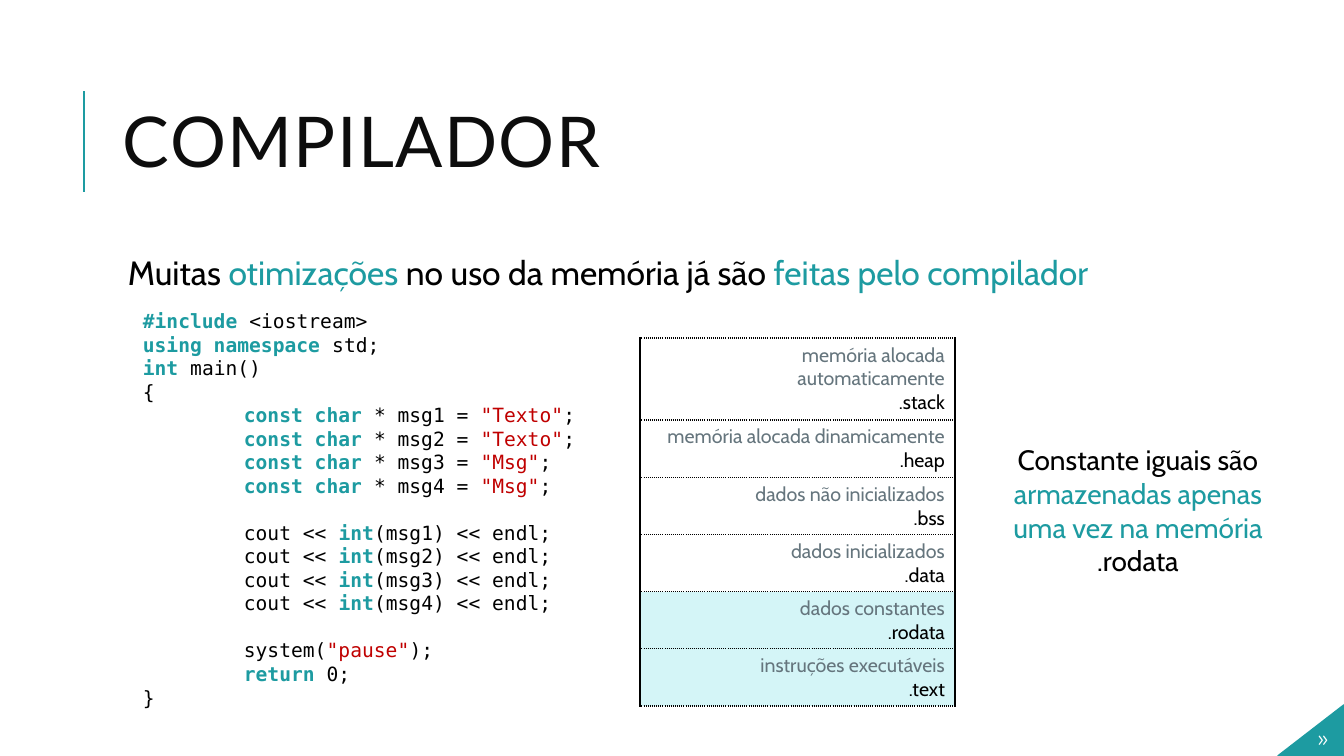
"""Builds the slide on how the compiler stores equal constants once."""
from lxml import etree
from pptx import Presentation
from pptx.dml.color import RGBColor
from pptx.enum.text import MSO_ANCHOR, PP_ALIGN
from pptx.oxml.ns import qn
from pptx.util import Pt

THEME = {
    "colour": {"ink": "000000", "title": "0D0D0D", "accent": "1D9BA1", "keyword": "1D9BA1",
               "string": "C00000", "muted": "65757D", "highlight": "D4F5F7", "white": "FFFFFF"},
    "font": {"title": "Lato", "body": "Cabin", "code": "DejaVu Sans Mono", "corner": "Quicksand"},
    "size": {"title": 50, "lead": 24, "side": 20, "corner": 16, "small": 14},
    "code_gap": 16.8,
}
PX = 914400 / 100.8

TITLE = [("COMPILADOR", "title")]
LEAD = [("Muitas ", "ink"), ("otimizações", "accent"), (" no uso da memória já são ", "ink"),
        ("feitas pelo compilador", "accent")]
SIDE = [("Constante iguais são ", "ink"), ("armazenadas apenas uma vez na memória ", "accent"),
        (".rodata", "ink")]
CORNER = [("»", "white")]

HEADER = [
    [("#include ", "keyword"), ("<iostream>", "ink")],
    [("using namespace ", "keyword"), ("std;", "ink")],
    [("int ", "keyword"), ("main()", "ink")],
    [("{", "ink")],
]
MESSAGES = ["Texto", "Texto", "Msg", "Msg"]
DECLARATIONS = [[("const char ", "keyword"), (f"* msg{n} = ", "ink"), (f'"{text}"', "string"),
                 (";", "ink")] for n, text in enumerate(MESSAGES, 1)]
OUTPUTS = [[("cout << ", "ink"), ("int", "keyword"), (f"(msg{n}) << endl;", "ink")]
           for n in range(1, len(MESSAGES) + 1)]
ENDING = [
    [("system(", "ink"), ('"pause"', "string"), (");", "ink")],
    [("return", "keyword"), (" 0;", "ink")],
]
BODY_BLOCKS = [DECLARATIONS, OUTPUTS, ENDING]

SECTIONS = [
    ("memória alocada automaticamente", ".stack", 82, None),
    ("memória alocada dinamicamente", ".heap", 57, None),
    ("dados não inicializados", ".bss", 57, None),
    ("dados inicializados", ".data", 57, None),
    ("dados constantes", ".rodata", 57, "highlight"),
    ("instruções executáveis", ".text", 57, "highlight"),
]


def px(value):
    return round(value * PX)


def colour(role):
    return RGBColor.from_string(THEME["colour"][role])


def write(paragraph, runs, font, size):
    for text, role in runs:
        run = paragraph.add_run()
        run.text = text
        run.font.name = THEME["font"][font]
        run.font.size = Pt(THEME["size"][size])
        run.font.bold = role == "keyword"
        run.font.color.rgb = colour(role)


def add_text(slide, box, runs, font, size, align=PP_ALIGN.LEFT):
    frame = slide.shapes.add_textbox(*map(px, box)).text_frame
    frame.word_wrap = True
    paragraph = frame.paragraphs[0]
    paragraph.alignment = align
    write(paragraph, runs, font, size)
    return frame


def add_code(slide, box):
    frame = add_text(slide, box, HEADER[0], "code", "small")
    lines = [(line, 0, 0) for line in HEADER[1:]]
    for number, block in enumerate(BODY_BLOCKS):
        for row, line in enumerate(block):
            gap = THEME["code_gap"] if number and not row else 0
            lines.append((line, 101, gap))
    lines.append(([("}", "ink")], 0, 0))
    for line, indent, gap in lines:
        paragraph = frame.add_paragraph()
        paragraph.space_before = Pt(gap)
        paragraph._p.get_or_add_pPr().set("marL", str(px(indent)))
        write(paragraph, line, "code", "small")


def set_border(properties, side, dash):
    line = etree.SubElement(properties, qn(f"a:{side}"), w=str(Pt(1)))
    fill = etree.SubElement(line, qn("a:solidFill"))
    etree.SubElement(fill, qn("a:srgbClr"), val=THEME["colour"]["ink"])
    etree.SubElement(line, qn("a:prstDash"), val=dash)


def add_memory_table(slide, left, top, width):
    height = sum(section[2] for section in SECTIONS)
    table = slide.shapes.add_table(len(SECTIONS), 1, *map(px, (left, top, width, height))).table
    table.first_row = table.horz_banding = False
    for row, (label, name, row_height, fill) in enumerate(SECTIONS):
        table.rows[row].height = px(row_height)
        cell = table.cell(row, 0)
        properties = cell._tc.get_or_add_tcPr()
        for side, dash in (("lnL", "solid"), ("lnR", "solid"), ("lnT", "sysDot"), ("lnB", "sysDot")):
            set_border(properties, side, dash)
        if fill:
            cell.fill.solid()
            cell.fill.fore_color.rgb = colour(fill)
        else:
            cell.fill.background()
        frame = cell.text_frame
        for paragraph, run in ((frame.paragraphs[0], (label, "muted")),
                               (frame.add_paragraph(), (name, "ink"))):
            paragraph.alignment = PP_ALIGN.RIGHT
            write(paragraph, [run], "body", "small")


def add_title(slide):
    bar = slide.shapes.add_connector(1, *map(px, (84, 192, 84, 91)))
    bar.line.color.rgb = colour("accent")
    bar.line.width = Pt(1.5)
    etree.SubElement(bar._element.spPr, qn("a:effectLst"))
    frame = add_text(slide, (113, 65, 1072, 165), TITLE, "title", "title")
    frame.vertical_anchor = MSO_ANCHOR.MIDDLE
    frame.paragraphs[0].line_spacing = 0.8
    frame.paragraphs[0].runs[0].font._element.set("spc", "100")


def add_lead(slide):
    frame = add_text(slide, (123, 252, 1062, 48), LEAD, "body", "lead")
    frame.margin_left = frame.margin_right = px(5)
    frame.paragraphs[0].line_spacing = 0.9


def add_corner(slide):
    builder = slide.shapes.build_freeform(1278, 756, scale=PX)
    builder.add_line_segments([(1344, 705), (1344, 756)], close=True)
    corner = builder.convert_to_shape()
    corner.shadow.inherit = False
    corner.fill.solid()
    corner.fill.fore_color.rgb = corner.line.color.rgb = colour("accent")
    corner.line.width = Pt(1.25)
    frame = add_text(slide, (1308, 719, 36, 37), CORNER, "corner", "corner")
    frame.word_wrap = False


def main():
    presentation = Presentation()
    presentation.slide_width, presentation.slide_height = px(1344), px(756)
    slide = presentation.slides.add_slide(presentation.slide_layouts[6])
    add_title(slide)
    add_lead(slide)
    add_code(slide, (133, 304, 516, 414))
    add_text(slide, (1003, 438, 270, 146), SIDE, "body", "side", PP_ALIGN.CENTER)
    add_corner(slide)
    add_memory_table(slide, 640, 338, 315)
    presentation.save("out.pptx")


main()
